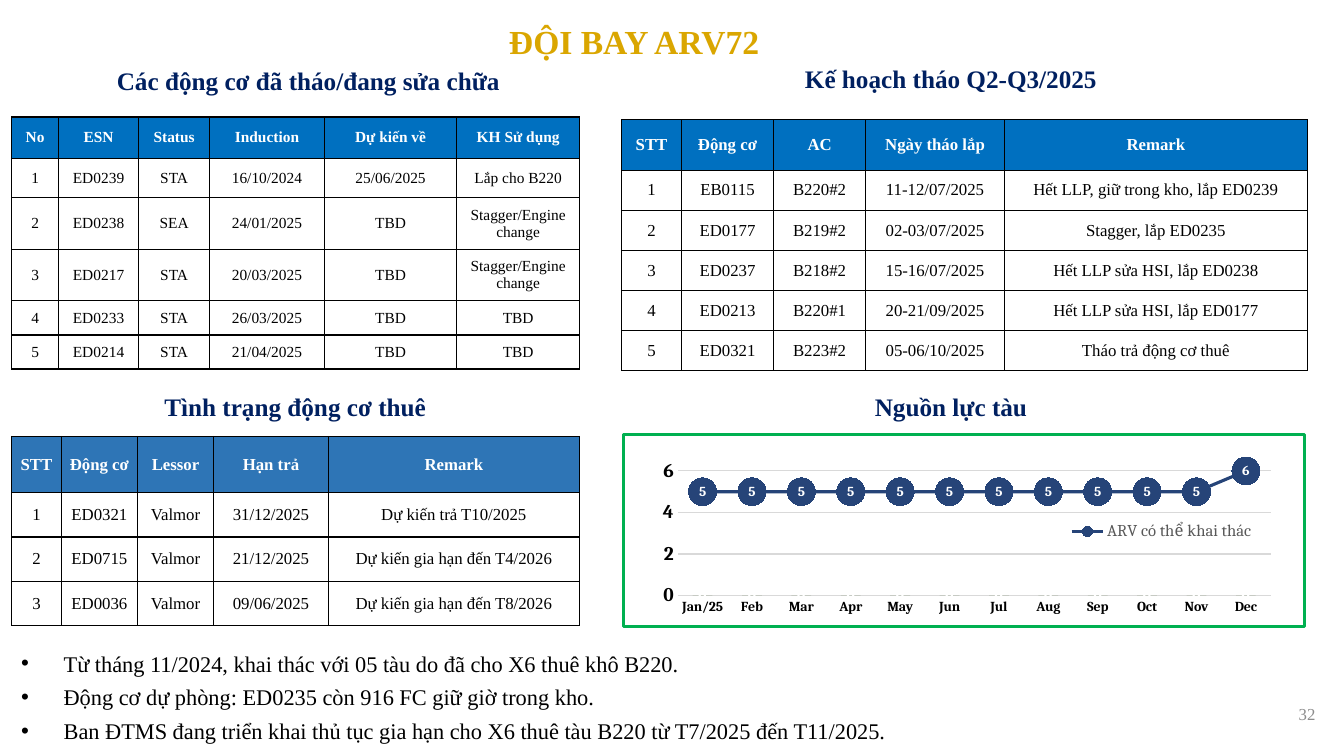
"""Builds the fleet engine status slide with three tables, a chart and notes."""
from copy import deepcopy
from dataclasses import dataclass

from lxml.etree import SubElement
from pptx import Presentation
from pptx.chart.data import CategoryChartData
from pptx.dml.color import RGBColor
from pptx.enum.chart import (XL_CHART_TYPE, XL_LABEL_POSITION, XL_LEGEND_POSITION,
                             XL_MARKER_STYLE, XL_TICK_MARK)
from pptx.enum.text import MSO_ANCHOR, MSO_AUTO_SIZE, PP_ALIGN
from pptx.oxml import parse_xml
from pptx.oxml.ns import nsdecls, qn
from pptx.util import Cm, Pt


@dataclass(frozen=True)
class Theme:
    text: str = "Times New Roman"
    chart: str = "Cambria"
    gold: RGBColor = RGBColor(0xDA, 0xA6, 0x00)
    navy: RGBColor = RGBColor(0x00, 0x20, 0x60)
    black: RGBColor = RGBColor(0, 0, 0)
    white: RGBColor = RGBColor(0xFF, 0xFF, 0xFF)
    number: RGBColor = RGBColor(0x8C, 0x8C, 0x8C)
    blue: RGBColor = RGBColor(0x00, 0x70, 0xC0)
    steel: RGBColor = RGBColor(0x2E, 0x75, 0xB6)
    line: RGBColor = RGBColor(0x26, 0x44, 0x78)
    column: RGBColor = RGBColor(0x43, 0x68, 0x2B)
    grid: RGBColor = RGBColor(0xD9, 0xD9, 0xD9)
    legend: RGBColor = RGBColor(0x59, 0x59, 0x59)
    frame: str = "00B050"
    title_pt: int = 24
    heading_pt: int = 18
    body_pt: int = 16
    axis_pt: int = 14
    table_pt: int = 12
    small_pt: int = 11
    label_pt: int = 10


T = Theme()

TITLE = "ĐỘI BAY ARV72"
PAGE = "32"
HEADINGS = [
    ("Các động cơ đã tháo/đang sửa chữa", 2.64, 1.52, 10.26),
    ("Kế hoạch tháo Q2-Q3/2025", 19.99, 1.47, 7.95),
    ("Tình trạng động cơ thuê", 3.86, 9.73, 7.16),
    ("Nguồn lực tàu", 21.77, 9.73, 4.39),
]
TABLES = [
    dict(left=0.3, top=2.95, cols=[1.17, 2.03, 1.78, 2.9, 3.33, 3.1],
         rows=[1.04, 0.99, 1.3, 1.3, 0.86, 0.86],
         fill=T.blue, size=T.small_pt, inset=(0.33, 0.18), cells=[
             ("No", "ESN", "Status", "Induction", "Dự kiến về", "KH Sử dụng"),
             ("1", "ED0239", "STA", "16/10/2024", "25/06/2025", "Lắp cho B220"),
             ("2", "ED0238", "SEA", "24/01/2025", "TBD", "Stagger/Engine change"),
             ("3", "ED0217", "STA", "20/03/2025", "TBD", "Stagger/Engine change"),
             ("4", "ED0233", "STA", "26/03/2025", "TBD", "TBD"),
             ("5", "ED0214", "STA", "21/04/2025", "TBD", "TBD")]),
    dict(left=15.67, top=3.02, cols=[1.5, 2.33, 2.31, 3.51, 7.62],
         rows=[1.27] + [1.01] * 5,
         fill=T.blue, size=T.table_pt, inset=(0.03, 0.02), cells=[
             ("STT", "Động cơ", "AC", "Ngày tháo lắp", "Remark"),
             ("1", "EB0115", "B220#2", "11-12/07/2025", "Hết LLP, giữ trong kho, lắp ED0239"),
             ("2", "ED0177", "B219#2", "02-03/07/2025", "Stagger, lắp ED0235"),
             ("3", "ED0237", "B218#2", "15-16/07/2025", "Hết LLP sửa HSI, lắp ED0238"),
             ("4", "ED0213", "B220#1", "20-21/09/2025", "Hết LLP sửa HSI, lắp ED0177"),
             ("5", "ED0321", "B223#2", "05-06/10/2025", "Tháo trả động cơ thuê")]),
    dict(left=0.3, top=11, cols=[1.24, 1.93, 1.91, 2.9, 6.32],
         rows=[1.41] + [1.12] * 3,
         fill=T.steel, size=T.table_pt, inset=(0.03, 0.02), cells=[
             ("STT", "Động cơ", "Lessor", "Hạn trả", "Remark"),
             ("1", "ED0321", "Valmor", "31/12/2025", "Dự kiến trả T10/2025"),
             ("2", "ED0715", "Valmor", "21/12/2025", "Dự kiến gia hạn đến T4/2026"),
             ("3", "ED0036", "Valmor", "09/06/2025", "Dự kiến gia hạn đến T8/2026")]),
]
MONTHS = ["Jan/25", "Feb", "Mar", "Apr", "May", "Jun",
          "Jul", "Aug", "Sep", "Oct", "Nov", "Dec"]
SERIES = [("Series 1", [0] * 12), ("ARV có thể khai thác", [5] * 11 + [6])]
NOTES = [
    "Từ tháng 11/2024, khai thác với 05 tàu do đã cho X6 thuê khô B220.",
    "Động cơ dự phòng: ED0235 còn 916 FC giữ giờ trong kho.",
    "Ban ĐTMS đang triển khai thủ tục gia hạn cho X6 thuê tàu B220 từ T7/2025 đến T11/2025.",
]


def style(font, size, color, bold=False, name=T.text):
    font.name, font.size, font.bold = name, Pt(size), bold
    font.color.rgb = color


def add_run(p, text, size, color, bold=False, align=PP_ALIGN.CENTER):
    p.alignment = align
    r = p.add_run()
    r.text = text
    style(r.font, size, color, bold)


def place(sp, left, top, width, height):
    sp.left, sp.top, sp.width, sp.height = map(Cm, (left, top, width, height))
    return sp.text_frame


def add_table(s, left, top, cols, rows, fill, size, inset, cells):
    tbl = s.shapes.add_table(len(rows), len(cols), Cm(left), Cm(top),
                             Cm(sum(cols)), Cm(sum(rows))).table
    tbl.horz_banding = False
    for col, width in zip(tbl.columns, cols):
        col.width = Cm(width)
    for i, (row, height) in enumerate(zip(tbl.rows, rows)):
        row.height = Cm(height)
        for cell, text in zip(row.cells, cells[i]):
            cell.margin_left = cell.margin_right = Cm(inset[0])
            cell.margin_top = cell.margin_bottom = Cm(inset[1])
            cell.vertical_anchor = MSO_ANCHOR.MIDDLE
            tcPr = cell._tc.get_or_add_tcPr()
            for side in "LRTB":
                ln = SubElement(tcPr, qn(f"a:ln{side}"), w=str(int(Pt(1))))
                SubElement(SubElement(ln, qn("a:solidFill")), qn("a:srgbClr"), val=str(T.black))
            if i == 0:
                cell.fill.solid()
                cell.fill.fore_color.rgb = fill
            else:
                cell.fill.background()
            add_run(cell.text_frame.paragraphs[0], text, size,
                    T.black if i else T.white, i == 0)


def set_layout(parent, index, target, x, y, w, h):
    for old in parent.findall(qn("c:layout")):
        parent.remove(old)
    inner = f'<c:layoutTarget val="{target}"/>' if target else ""
    modes = '<c:xMode val="edge"/><c:yMode val="edge"/>'
    sizes = "".join(f'<c:{k} val="{v}"/>' for k, v in zip("xywh", (x, y, w, h)))
    parent.insert(index, parse_xml(f'<c:layout {nsdecls("c")}><c:manualLayout>'
                                   f'{inner}{modes}{sizes}</c:manualLayout></c:layout>'))


def split_line(plot_area):
    bar = plot_area.find(qn("c:barChart"))
    ser = bar.findall(qn("c:ser"))[1]
    for flag in ser.findall(qn("c:invertIfNegative")):
        ser.remove(flag)
    line = parse_xml(f'<c:lineChart {nsdecls("c")}><c:grouping val="standard"/>'
                     '<c:varyColors val="0"/><c:marker val="1"/></c:lineChart>')
    line.insert(2, ser)
    line.extend([deepcopy(ax) for ax in bar.findall(qn("c:axId"))])
    bar.addnext(line)


def label(series, size):
    labels = series.data_labels
    labels.show_value, labels.position = True, XL_LABEL_POSITION.CENTER
    style(labels.font, size, T.white, True, T.chart)


def add_chart(s):
    data = CategoryChartData()
    data.categories = MONTHS
    for name, values in SERIES:
        data.add_series(name, values)
    chart = s.shapes.add_chart(XL_CHART_TYPE.COLUMN_CLUSTERED, Cm(15.67), Cm(10.92),
                               Cm(17.25), Cm(4.9), data).chart
    style(chart.font, T.label_pt, T.black, name=T.chart)
    chart.has_title = False
    cat, val = chart.category_axis, chart.value_axis
    for axis, size in ((cat, T.label_pt), (val, T.axis_pt)):
        axis.major_tick_mark = axis.minor_tick_mark = XL_TICK_MARK.NONE
        style(axis.tick_labels.font, size, T.black, True, T.chart)
    val.minimum_scale, val.maximum_scale, val.major_unit = 0, 7, 2
    val.format.line.fill.background()
    for ln in (cat.format.line, val.major_gridlines.format.line):
        ln.color.rgb, ln.width = T.grid, Pt(0.75)

    root = chart._chartSpace.find(qn("c:chart"))
    area = root.find(qn("c:plotArea"))
    split_line(area)
    set_layout(area, 0, "inner", 0.08, 0.08, 0.87, 0.76)
    columns, lines = chart.plots
    columns.vary_by_categories, columns.gap_width = False, 150
    base, fleet = columns.series[0], lines.series[0]
    base.format.fill.solid()
    base.format.fill.fore_color.rgb = T.column
    label(base, T.small_pt)
    fleet.smooth = False
    fleet.format.line.color.rgb, fleet.format.line.width = T.line, Pt(2.25)
    fleet.marker.style, fleet.marker.size = XL_MARKER_STYLE.CIRCLE, 20
    fleet.marker.format.fill.solid()
    fleet.marker.format.fill.fore_color.rgb = T.line
    fleet.marker.format.line.color.rgb = T.line
    label(fleet, T.label_pt)

    chart.has_legend = True
    legend = chart.legend
    legend.position = XL_LEGEND_POSITION.RIGHT
    legend.include_in_layout = False
    style(legend.font, T.table_pt, T.legend, name=T.chart)
    set_layout(legend._element, 1, "", 0.65, 0.44, 0.28, 0.13)
    legend._element.insert(1, parse_xml(f'<c:legendEntry {nsdecls("c")}><c:idx val="0"/>'
                                        '<c:delete val="1"/></c:legendEntry>'))
    root.addnext(parse_xml(
        f'<c:spPr {nsdecls("c", "a")}><a:noFill/><a:ln w="{int(Pt(2.25))}"><a:solidFill>'
        f'<a:srgbClr val="{T.frame}"/></a:solidFill></a:ln></c:spPr>'))


def main():
    prs = Presentation()
    prs.slide_width, prs.slide_height = Cm(33.87), Cm(19.05)
    s = prs.slides.add_slide(prs.slide_layouts[1])
    title, notes = s.shapes.title, s.placeholders[1]
    tf = place(title, 7.98, 0.41, 16, 1.27)
    tf.vertical_anchor, tf.auto_size = MSO_ANCHOR.TOP, MSO_AUTO_SIZE.NONE
    add_run(tf.paragraphs[0], TITLE, T.title_pt, T.gold, True)

    for text, left, top, width in HEADINGS:
        tf = s.shapes.add_textbox(Cm(left), Cm(top), Cm(width), Cm(1.02)).text_frame
        tf.word_wrap = False
        add_run(tf.paragraphs[0], text, T.heading_pt, T.navy, True)
    for table in TABLES:
        add_table(s, **table)
    add_chart(s)

    tf = place(notes, 0.28, 16.08, 32.11, 2.74)
    tf.vertical_anchor, tf.auto_size = MSO_ANCHOR.TOP, MSO_AUTO_SIZE.NONE
    for i, text in enumerate(NOTES):
        p = tf.add_paragraph() if i else tf.paragraphs[0]
        pPr = p._p.get_or_add_pPr()
        pPr.set("marL", str(int(Cm(1.07))))
        pPr.set("indent", str(int(Cm(-1.07))))
        p.line_spacing, p.space_before = 1.25, Pt(0)
        add_run(p, text, T.body_pt, T.black, align=PP_ALIGN.LEFT)

    tf = s.shapes.add_textbox(Cm(31.37), Cm(17.27), Cm(2.03), Cm(1.45)).text_frame
    tf.word_wrap, tf.vertical_anchor = True, MSO_ANCHOR.MIDDLE
    add_run(tf.paragraphs[0], PAGE, T.table_pt, T.number, align=PP_ALIGN.RIGHT)
    prs.save("out.pptx")


if __name__ == "__main__":
    main()
